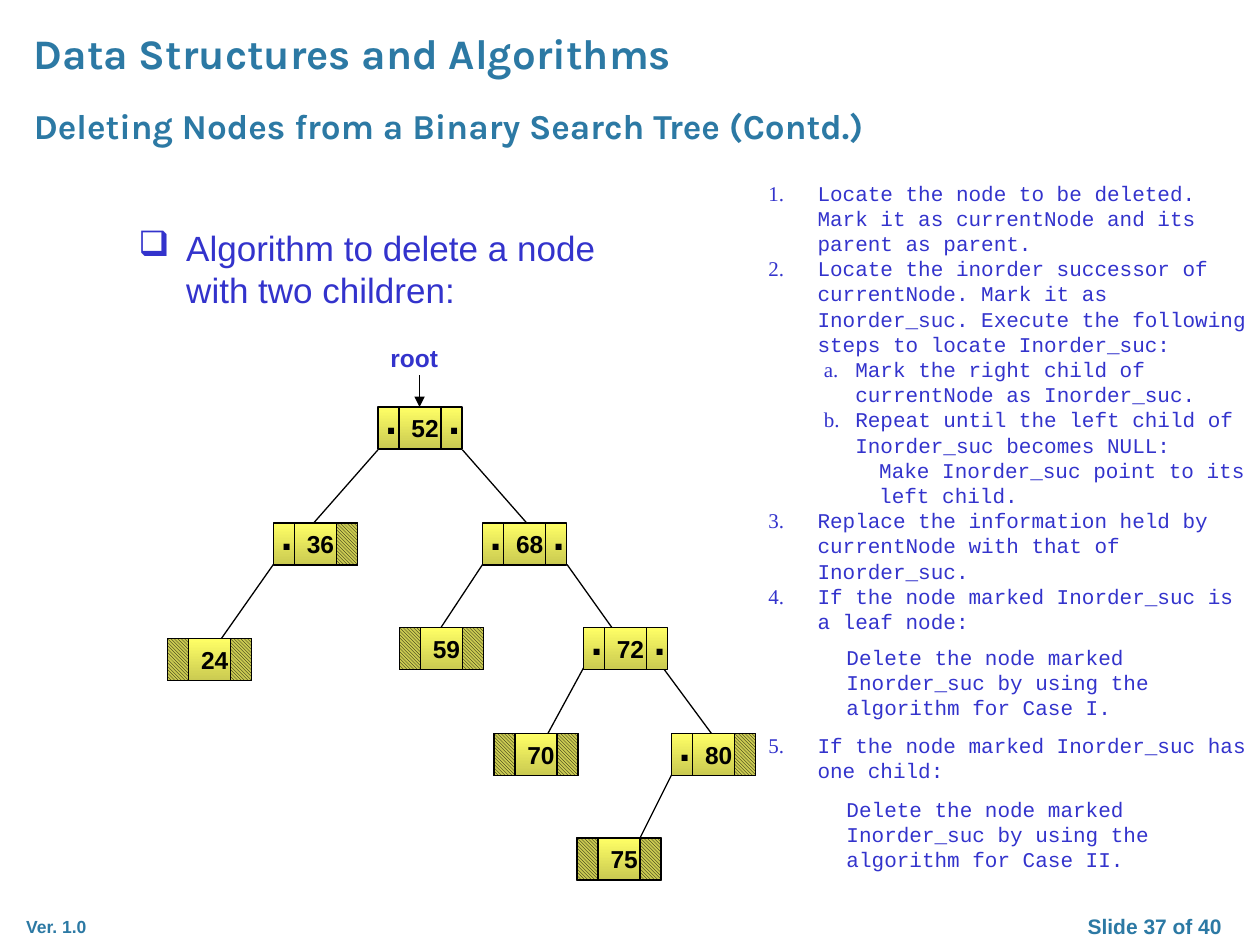
from dataclasses import dataclass

from lxml import etree
from pptx import Presentation
from pptx.dml.color import RGBColor
from pptx.enum.dml import MSO_PATTERN
from pptx.enum.shapes import MSO_CONNECTOR, MSO_SHAPE
from pptx.enum.text import PP_ALIGN
from pptx.oxml.ns import qn
from pptx.util import Inches, Pt

RECT = MSO_SHAPE.RECTANGLE
LINE = MSO_CONNECTOR.STRAIGHT
HATCH = MSO_PATTERN.DARK_DOWNWARD_DIAGONAL
LEFT, CENTER = PP_ALIGN.LEFT, PP_ALIGN.CENTER


@dataclass(frozen=True)
class Theme:
    teal: RGBColor = RGBColor(0x2C, 0x79, 0xA4)
    blue: RGBColor = RGBColor(0x33, 0x33, 0xCC)
    black: RGBColor = RGBColor(0, 0, 0)
    light: RGBColor = RGBColor(0xFF, 0xFF, 0x66)
    olive: RGBColor = RGBColor(0xCA, 0xCA, 0x51)
    head: str = "Karla"
    body: str = "Arial"
    code: str = "Courier New"
    mark: str = "Times New Roman"
    title: int = 24
    topic: int = 20
    node: int = 14
    step: int = 12
    foot: int = 10


T = Theme()

# A node is three parts wide: left link, key, right link
CELL, HIGH = 1 / 6, 1 / 3

# Key, left, top, has left child, has right child
NODES = [
    ("52", 3, 3.23, True, True),
    ("36", 2.17, 4.15, True, False),
    ("68", 3.83, 4.15, True, True),
    ("24", 1.33, 5.07, False, False),
    ("59", 3.17, 4.98, False, False),
    ("72", 4.63, 4.98, True, True),
    ("70", 3.92, 5.82, False, False),
    ("80", 5.33, 5.82, True, False),
    ("75", 4.58, 6.65, False, False),
]

# Each edge runs from a parent's corner to its child
EDGES = [
    (3, 3.57, 2.42, 4.23),
    (3.67, 3.57, 4.25, 4.23),
    (2.17, 4.48, 1.58, 5.32),
    (3.83, 4.48, 3.5, 4.98),
    (4.5, 4.48, 4.92, 5.07),
    (4.67, 5.23, 4.17, 6.15),
    (5.21, 5.23, 5.83, 6.07),
    (5.33, 6.15, 5.08, 6.65),
]

# Kind of step: left margin and first-line indent
INDENT = {"main": (0.39, -0.39), "sub": (0.69, -0.25),
          "deep": (0.88, 0), "case": (0.62, 0)}

# Kind, number, wording, space before in points
STEPS = [
    ("main", "1.", "Locate the node to be deleted. Mark it as currentNode "
     "and its parent as parent.", 0),
    ("main", "2.", "Locate the inorder successor of currentNode. Mark it as "
     "Inorder_suc. Execute the following steps to locate Inorder_suc:", 0),
    ("sub", "a.", "Mark the right child of currentNode as Inorder_suc.", 0),
    ("sub", "b.", "Repeat until the left child of Inorder_suc becomes NULL:", 0),
    ("deep", "", "Make Inorder_suc point to its left child.", 0),
    ("main", "3.", "Replace the information held by currentNode with that of "
     "Inorder_suc.", 0),
    ("main", "4.", "If the node marked Inorder_suc is a leaf node:", 0),
    ("case", "", "Delete the node marked Inorder_suc by using the algorithm "
     "for Case I.", 6),
    ("main", "5.", "If the node marked Inorder_suc has one child:", 7),
    ("case", "", "Delete the node marked Inorder_suc by using the algorithm "
     "for Case II.", 8),
]


def style(run, size, color, face, bold=False):
    font = run.font
    font.size, font.name, font.bold = Pt(size), face, bold
    font.color.rgb = color


def hang(para, left, first):
    props = para._p.get_or_add_pPr()
    props.set("marL", str(Inches(left)))
    props.set("indent", str(Inches(first)))
    return props


def add_text(slide, box, text, size, color, face=T.body, bold=True,
             wrap=True, align=LEFT):
    frame = slide.shapes.add_textbox(*map(Inches, box)).text_frame
    frame.word_wrap = wrap
    frame.text = text
    para = frame.paragraphs[0]
    para.alignment = align
    style(para.runs[0], size, color, face, bold)
    return para


def add_line(slide, ends, arrow=False):
    link = slide.shapes.add_connector(LINE, *map(Inches, ends))
    link.line.color.rgb = T.black
    link.line.width = Pt(0.75)
    props = link._element.spPr
    if arrow:
        tip = etree.SubElement(props.find(qn("a:ln")), qn("a:tailEnd"))
        tip.set("type", "triangle")
    etree.SubElement(props, qn("a:effectLst"))


def add_rect(slide, left, top, width):
    rect = slide.shapes.add_shape(
        RECT, *map(Inches, (left, top, width, HIGH)))
    rect.shadow.inherit = False
    rect.line.color.rgb = T.black
    rect.line.width = Pt(0.75)
    return rect.fill


def add_node(slide, key, left, top, *links):
    # Body
    fill = add_rect(slide, left, top, 4 * CELL)
    fill.gradient()
    fill.gradient_angle = 270
    for stop, spot, color in zip(fill.gradient_stops, (0, 1),
                                 (T.light, T.olive)):
        stop.position, stop.color.rgb = spot, color
    # Dividers and key
    for part in (1, 3):
        side = left + part * CELL
        add_line(slide, (side, top, side, top + HIGH))
    add_text(slide, (left + CELL, top, 0.42, HIGH), key, T.node, T.black,
             wrap=False)
    # Link cells: a dot for a child, hatching for none
    for linked, side in zip(links, (left, left + 3 * CELL)):
        if linked:
            add_text(slide, (side - 0.04, top - 0.16, 0.29, 0.5), ".",
                     T.title, T.black, wrap=False)
        else:
            fill = add_rect(slide, side, top, CELL)
            fill.patterned()
            fill.pattern = HATCH
            fill.fore_color.rgb, fill.back_color.rgb = T.black, T.olive


def add_steps(slide):
    box = slide.shapes.add_textbox(*map(Inches, (6, 1.38, 4, 5.91)))
    frame = box.text_frame
    frame.word_wrap = True
    for spot, (kind, mark, words, gap) in enumerate(STEPS):
        para = frame.add_paragraph() if spot else frame.paragraphs[0]
        hang(para, *INDENT[kind])
        para.space_before = Pt(gap)
        para.text = mark or words
        if mark:
            para.add_run().text = "\t" + words
            style(para.runs[0], T.step, T.blue, T.mark)
        style(para.runs[-1], T.step, T.blue, T.code)


def main():
    deck = Presentation()
    deck.slide_width, deck.slide_height = Inches(10), Inches(7.5)
    slide = deck.slides.add_slide(deck.slide_layouts[6])

    # Headings and footer
    add_text(slide, (0.17, 0.17, 8.33, 0.51),
             "Data Structures and Algorithms", T.title, T.teal, T.head)
    add_text(slide, (0.17, 0.78, 7.5, 0.43),
             "Deleting Nodes from a Binary Search Tree (Contd.)",
             T.topic, T.teal, T.head)
    add_text(slide, (0.11, 7.22, 0.79, 0.27), "Ver. 1.0", T.foot, T.teal)
    add_text(slide, (8.33, 7.2, 1.67, 0.3), "Slide 37 of 40", T.step, T.teal,
             align=CENTER)

    # Topic and steps
    topic = add_text(slide, (1, 1.75, 4.1, 1.25),
                     "Algorithm to delete a node with two children:",
                     T.topic, T.blue, bold=False)
    bullet = etree.SubElement(hang(topic, 0.38, -0.38), qn("a:buChar"))
    bullet.set("char", "\u2751")
    add_steps(slide)

    # Tree
    for ends in EDGES:
        add_line(slide, ends)
    for node in NODES:
        add_node(slide, *node)
    add_line(slide, (3.33, 2.98, 3.33, 3.23), arrow=True)
    add_text(slide, (3, 2.67, 0.83, 0.33), "root", T.node, T.blue)

    deck.save("out.pptx")


main()
